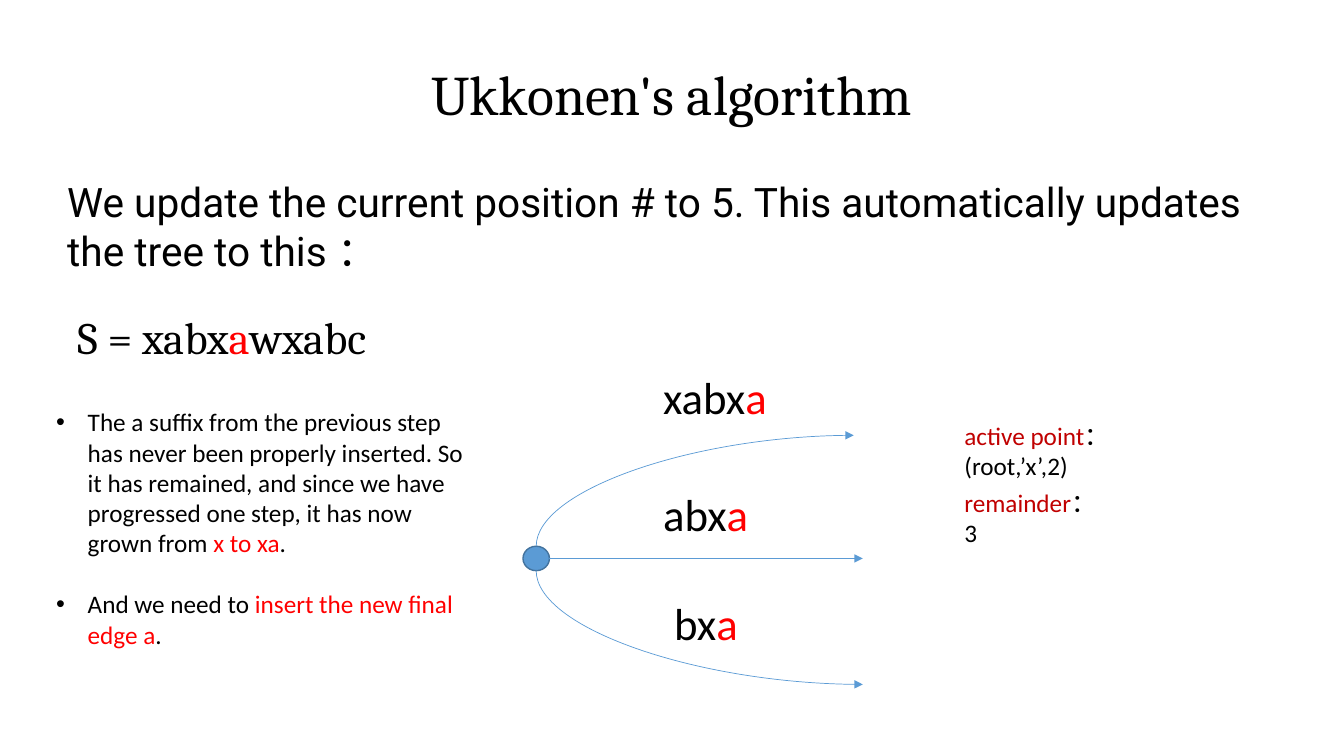
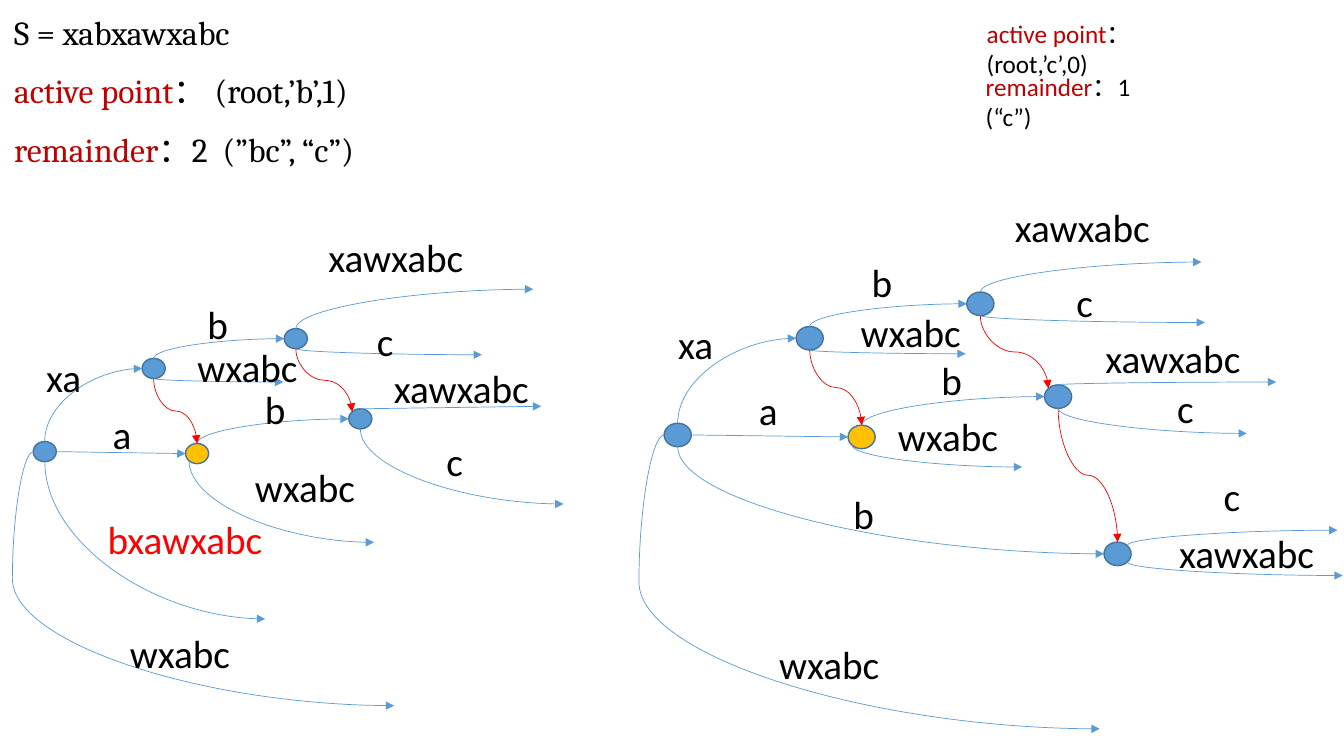
from dataclasses import dataclass
from enum import IntEnum
from math import cos, radians, sin
from typing import NamedTuple, Optional, Union

from lxml.etree import SubElement
from pptx import Presentation
from pptx.dml.color import RGBColor as Rgb
from pptx.enum.shapes import MSO_CONNECTOR as Link, MSO_SHAPE as Preset
from pptx.enum.text import MSO_ANCHOR as Anchor, MSO_AUTO_SIZE as AutoSize, PP_ALIGN as Align
from pptx.oxml.ns import qn
from pptx.util import Pt


# Theme
@dataclass(frozen=True)
class Theme:
    ink: Rgb = Rgb(0, 0, 0)
    red: Rgb = Rgb(0xFF, 0, 0)
    dark_red: Rgb = Rgb(0xC0, 0, 0)
    blue: Rgb = Rgb(0x5B, 0x9B, 0xD5)
    outline: Rgb = Rgb(0x43, 0x73, 0x9E)
    gold: Rgb = Rgb(0xFF, 0xC0, 0)
    serif: str = "Cambria"
    sans: str = "Calibri"
    lead: str = "Roboto"
    title_size: float = 39.9
    lead_size: float = 29
    formula_size: float = 32
    state_size: float = 24
    label_size: float = 28
    note_size: float = 18
    edge_width: float = 0.5
    paragraph_gap: float = 12.8


THEME = Theme()


# Content types
class Piece(NamedTuple):
    text: str
    color: Rgb = THEME.ink


class Box(NamedTuple):
    left: float
    top: float
    width: float
    height: float


class Point(NamedTuple):
    x: float
    y: float


class Site(IntEnum):
    """Connection sites of an ellipse, counter-clockwise from the top."""
    TOP = 0
    TOP_LEFT = 1
    LEFT = 2
    BOTTOM_LEFT = 3
    BOTTOM = 4
    BOTTOM_RIGHT = 5
    RIGHT = 6
    TOP_RIGHT = 7


class Port(NamedTuple):
    node: str
    site: Site


@dataclass(frozen=True)
class Edge:
    start: Port
    end: Union[Port, Point]
    suffix_link: bool = False
    loop: bool = False


@dataclass(frozen=True)
class Label:
    x: float
    y: float
    pieces: tuple[Piece, ...]
    size: float = THEME.label_size


@dataclass(frozen=True)
class Tree:
    node_size: tuple[float, float]
    nodes: dict[str, Point]
    edges: tuple[Edge, ...]
    labels: tuple[Label, ...]
    active: Optional[str] = None


# Text
def write(paragraph, pieces, font: str, size: float) -> None:
    for piece in pieces:
        run = paragraph.add_run()
        run.text = piece.text
        run.font.name = font
        run.font.size = Pt(size)
        run.font.color.rgb = piece.color


def place(shape, box: Box) -> None:
    shape.left, shape.top, shape.width, shape.height = map(Pt, box)


def add_text(slide, box: Box, paragraphs, font: str, size: float,
             gap: float = 0, bullet: bool = False) -> None:
    frame = slide.shapes.add_textbox(*map(Pt, box)).text_frame
    frame.word_wrap = True
    for index, pieces in enumerate(paragraphs):
        paragraph = frame.add_paragraph() if index else frame.paragraphs[0]
        if bullet:
            props = paragraph._p.get_or_add_pPr()
            props.set("marL", str(Pt(22.5)))
            props.set("indent", str(-Pt(22.5)))
            SubElement(props, qn("a:buFont")).set("typeface", "Arial")
            SubElement(props, qn("a:buChar")).set("char", "•")
        paragraph.space_before = Pt(gap if index else 0)
        write(paragraph, pieces, font, size)


def fill_placeholder(shape, box: Box, paragraphs, font: str, size: float,
                     align=Align.LEFT, anchor=Anchor.TOP) -> None:
    place(shape, box)
    frame = shape.text_frame
    frame.auto_size = AutoSize.NONE
    frame.vertical_anchor = anchor
    frame.margin_left = frame.margin_right = frame.margin_top = frame.margin_bottom = 0
    for index, pieces in enumerate(paragraphs):
        paragraph = frame.add_paragraph() if index else frame.paragraphs[0]
        props = paragraph._p.get_or_add_pPr()
        props.set("marL", "0")
        props.set("indent", "0")
        SubElement(props, qn("a:buNone"))
        paragraph.alignment = align
        paragraph.space_before = Pt(THEME.paragraph_gap if index else 0)
        write(paragraph, pieces, font, size)


def add_note(slide, box: Box, term: str, value: str) -> None:
    pieces = (Piece(term, THEME.dark_red), Piece(value))
    add_text(slide, box, [pieces], THEME.sans, THEME.note_size)


# Tree drawing
def add_node(slide, center: Point, size: tuple[float, float], color: Rgb):
    width, height = size
    node = slide.shapes.add_shape(Preset.OVAL, Pt(center.x - width / 2),
                                  Pt(center.y - height / 2), Pt(width), Pt(height))
    node.shadow.inherit = False
    node.fill.solid()
    node.fill.fore_color.rgb = color
    node.line.color.rgb = THEME.outline
    node.line.width = Pt(1)
    return node


def locate(tree: Tree, end: Union[Port, Point]) -> Point:
    if isinstance(end, Point):
        return end
    center, angle = tree.nodes[end.node], radians(90 + 45 * end.site)
    width, height = tree.node_size
    return Point(center.x + width / 2 * cos(angle), center.y - height / 2 * sin(angle))


def add_edge(slide, tree: Tree, edge: Edge, ovals: dict) -> None:
    start, end = locate(tree, edge.start), locate(tree, edge.end)
    dx, dy = end.x - start.x, end.y - start.y
    if abs(dy) < 2:
        connector = slide.shapes.add_connector(Link.STRAIGHT, *map(Pt, start + end))
        props = connector.element.find(qn("p:spPr"))
    else:
        # Vertical departures need a quarter turn, which swaps width and height
        width, height = (abs(dx), abs(dy)) if edge.loop else (abs(dy), abs(dx))
        left, top = (start.x + end.x - width) / 2, (start.y + end.y - height) / 2
        connector = slide.shapes.add_connector(
            Link.CURVE, Pt(left), Pt(top), Pt(left + width), Pt(top + height))
        props = connector.element.find(qn("p:spPr"))
        frame, geometry = props.find(qn("a:xfrm")), props.find(qn("a:prstGeom"))
        turn = 180 if edge.loop else 270 if dy > 0 else 90
        frame.set("rot", str(turn * 60000))
        frame.set("flipH", "1")
        if turn != 270:
            frame.set("flipV", "1")
        if edge.loop:
            adjusts = geometry.find(qn("a:avLst"))
            if adjusts is None:
                adjusts = SubElement(geometry, qn("a:avLst"))
            guide = SubElement(adjusts, qn("a:gd"))
            guide.set("name", "adj1")
            guide.set("fmla", "val -5800")
        elif not edge.suffix_link:
            geometry.set("prst", "curvedConnector2")
    glue = connector.element.find(qn("p:nvCxnSpPr")).find(qn("p:cNvCxnSpPr"))
    for tag, port in (("a:stCxn", edge.start), ("a:endCxn", edge.end)):
        if isinstance(port, Port):
            joint = SubElement(glue, qn(tag))
            joint.set("id", str(ovals[port.node].shape_id))
            joint.set("idx", str(int(port.site)))
    connector.line.color.rgb = THEME.red if edge.suffix_link else THEME.blue
    connector.line.width = Pt(THEME.edge_width)
    SubElement(props.find(qn("a:ln")), qn("a:tailEnd")).set("type", "triangle")
    SubElement(props, qn("a:effectLst"))


def draw_tree(slide, tree: Tree) -> None:
    ovals = {name: add_node(slide, center, tree.node_size,
                            THEME.gold if name == tree.active else THEME.blue)
             for name, center in tree.nodes.items()}
    for edge in tree.edges:
        add_edge(slide, tree, edge, ovals)
    for label in tree.labels:
        letters = sum(len(piece.text) for piece in label.pieces)
        box = Box(label.x, label.y, letters * label.size * 0.52 + 16, label.size * 1.22 + 7.2)
        add_text(slide, box, [label.pieces], THEME.sans, label.size)


def leaf(node: str, site: Site, x: float, y: float, loop: bool = False) -> Edge:
    return Edge(Port(node, site), Point(x, y), loop=loop)


def branch(node: str, site: Site, child: str, at: Site = Site.LEFT, link: bool = False) -> Edge:
    return Edge(Port(node, site), Port(child, at), suffix_link=link)


def named(text: str, x: float, y: float, color: Rgb = THEME.ink) -> Label:
    return Label(x, y, (Piece(text, color),))


def grown(prefix: str, x: float, y: float) -> Label:
    return Label(x, y, (Piece(prefix), Piece("a", THEME.red)), THEME.formula_size)


# Tree data
STEP_TREE = Tree(
    (18.9, 17.5), {"root": Point(383, 398.9)},
    (leaf("root", Site.TOP, 609.8, 311), leaf("root", Site.BOTTOM, 616.3, 488.9),
     leaf("root", Site.RIGHT, 616.3, 398.9)),
    (grown("xabx", 466.6, 260.6), grown("abx", 466.6, 344.2), grown("bx", 474.5, 421.9)))

SHARED_EDGES = (
    branch("root", Site.TOP, "xa"), branch("xa", Site.TOP, "xab"),
    branch("root", Site.RIGHT, "a"), branch("a", Site.TOP, "ab"),
    branch("xa", Site.BOTTOM, "a", Site.TOP, link=True),
    branch("xab", Site.BOTTOM, "ab", Site.TOP_LEFT, link=True))

BEFORE_TREE = Tree(
    (16.5, 14.4),
    {"root": Point(32, 322.6), "xa": Point(109.8, 263.2), "xab": Point(211.3, 241.9),
     "a": Point(140.8, 324), "ab": Point(257.4, 299.2)},
    SHARED_EDGES + (
        leaf("xa", Site.BOTTOM, 202.3, 272.9), leaf("root", Site.BOTTOM, 189.4, 442.1),
        leaf("a", Site.BOTTOM_LEFT, 267.1, 387.4), leaf("xab", Site.TOP, 380.9, 206.6),
        leaf("xab", Site.BOTTOM, 344.2, 253.4), leaf("ab", Site.TOP, 386.6, 290.2),
        leaf("ab", Site.BOTTOM, 402.5, 360), leaf("root", Site.LEFT, 281.5, 504, loop=True)),
    (named("xawxabc", 227.5, 163.4), named("b", 141.1, 211), named("c", 262.1, 223.2),
     named("xa", 25.9, 249.1), named("wxabc", 133.9, 241.9), named("xawxabc", 274.3, 256.3),
     named("b", 182.2, 271.4), named("a", 73.4, 289.4), named("c", 311.8, 308.9),
     named("wxabc", 175, 327.6), named("bxawxabc", 69.8, 364.3, THEME.red),
     named("wxabc", 85.7, 445.7)), "a")

AFTER_TREE = Tree(
    (19.4, 16.8),
    {"root": Point(484.1, 310.7), "xa": Point(578.4, 241.6), "xab": Point(700.3, 217),
     "a": Point(615.5, 312.1), "ab": Point(755.8, 283.3), "b": Point(798.3, 395.6)},
    SHARED_EDGES + (
        branch("root", Site.BOTTOM, "b"),
        branch("ab", Site.BOTTOM, "b", Site.TOP, link=True),
        leaf("xa", Site.BOTTOM, 689.8, 252.7), leaf("a", Site.BOTTOM_LEFT, 730.1, 333.6),
        leaf("xab", Site.TOP, 858.2, 187.2), leaf("xab", Site.BOTTOM, 860.6, 230.4),
        leaf("ab", Site.TOP, 911.5, 272.9), leaf("ab", Site.BOTTOM, 890.6, 309.6),
        leaf("b", Site.TOP_RIGHT, 955.4, 378.7), leaf("b", Site.BOTTOM_RIGHT, 959, 411.1),
        leaf("root", Site.LEFT, 785.5, 520.6, loop=True)),
    (named("xawxabc", 717.8, 141.8), named("b", 615.6, 180.7), named("c", 761.8, 195.1),
     named("xa", 477.4, 225.4), named("wxabc", 607.7, 216.7), named("xawxabc", 782.6, 235.4),
     named("b", 665.3, 251.3), named("a", 535, 272.2), named("c", 833.8, 270.7),
     named("wxabc", 634.3, 290.9), named("b", 602.6, 346.3), named("c", 866.9, 334.1),
     named("xawxabc", 835.2, 374.4), named("wxabc", 549.4, 453.6)), "a")


# Slides
def build_step(slide) -> None:
    fill_placeholder(slide.shapes.title, Box(48, 21.6, 864, 90), [(Piece("Ukkonen's algorithm"),)],
                     THEME.serif, THEME.title_size, Align.CENTER, Anchor.MIDDLE)
    fill_placeholder(slide.placeholders[1], Box(48, 126.7, 864, 313.2), [(Piece(
        "We update the current position # to 5. This automatically updates the tree to this ："),)],
        THEME.lead, THEME.lead_size)
    add_text(slide, Box(48.2, 217.4, 243, 46), [
        (Piece("S = xabx"), Piece("a", THEME.red), Piece("wxabc"))],
        THEME.serif, THEME.formula_size)
    draw_tree(slide, STEP_TREE)
    add_note(slide, Box(681.8, 296.6, 170, 51), "active point", "： (root,’x’,2)")
    add_note(slide, Box(681.8, 344.2, 113, 51), "remainder", "：3")
    add_text(slide, Box(33.1, 287, 306.7, 182), [
        (Piece("The a suffix from the previous step has never been properly inserted. So it has "
               "remained, and since we have progressed one step, it has now grown from "),
         Piece("x to xa", THEME.red), Piece(".")),
        (Piece("And we need to "), Piece("insert the new final edge a", THEME.red), Piece("."))],
        THEME.sans, THEME.note_size, gap=22, bullet=True)


def build_comparison(slide) -> None:
    heading = slide.shapes.title.element
    heading.getparent().remove(heading)
    fill_placeholder(slide.placeholders[1], Box(10, 8.6, 864, 121), [
        (Piece("S = xabxawxabc"),),
        (Piece("active point", THEME.dark_red), Piece("： (root,’b’,1)")),
        (Piece("remainder", THEME.dark_red), Piece("：2  (”bc”, “c”)"))],
        THEME.serif, THEME.state_size)
    draw_tree(slide, AFTER_TREE)
    draw_tree(slide, BEFORE_TREE)
    add_note(slide, Box(697.7, 9.4, 170, 51), "active point", "： (root,’c’,0)")
    add_note(slide, Box(697, 47.5, 150, 51), "remainder", "：1  (“c”)")


def main() -> None:
    deck = Presentation()
    deck.slide_width, deck.slide_height = Pt(960), Pt(540)
    for build in (build_step, build_comparison):
        build(deck.slides.add_slide(deck.slide_layouts[1]))
    deck.save("out.pptx")


if __name__ == "__main__":
    main()
